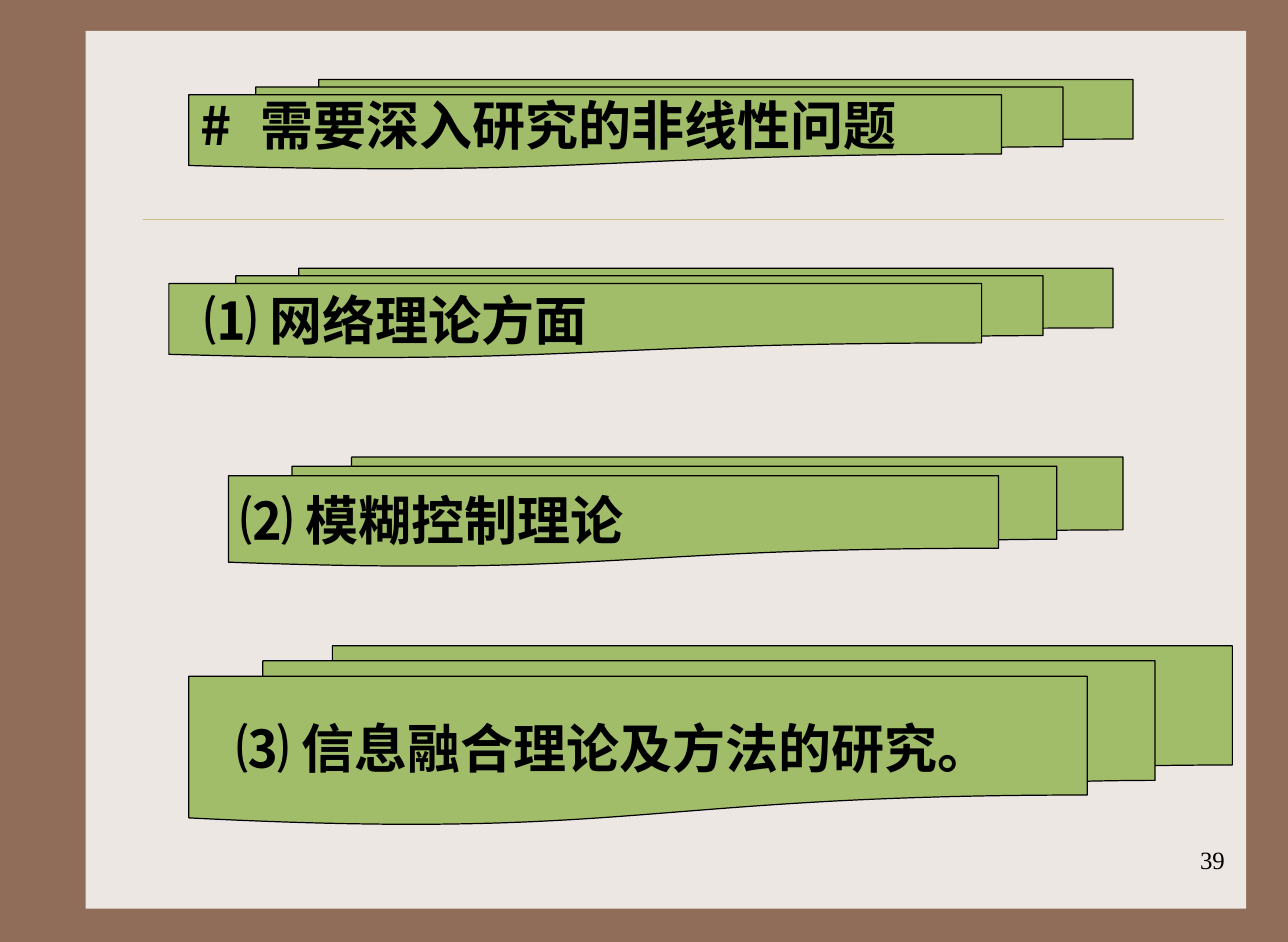
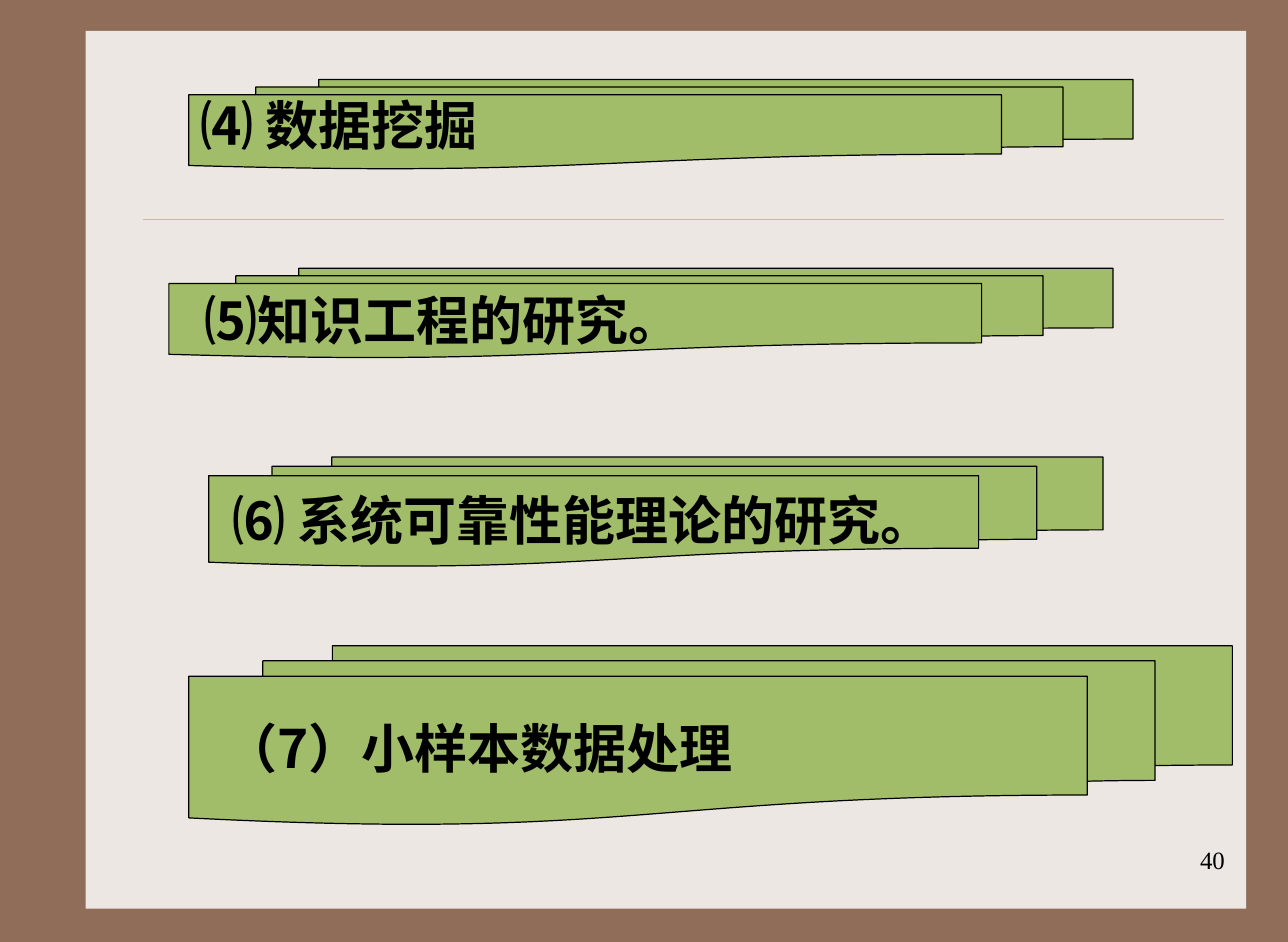
"""Build two slides of stacked-sheet banners listing nonlinear research problems."""
from dataclasses import dataclass

from lxml import etree
from pptx import Presentation
from pptx.dml.color import RGBColor
from pptx.enum.shapes import MSO_CONNECTOR, MSO_SHAPE
from pptx.enum.text import MSO_ANCHOR, MSO_AUTO_SIZE, PP_ALIGN
from pptx.oxml.ns import qn
from pptx.util import Pt

SHEETS, RECT = MSO_SHAPE.FLOWCHART_MULTIDOCUMENT, MSO_SHAPE.RECTANGLE
STRAIGHT = MSO_CONNECTOR.STRAIGHT
MIDDLE, NO_FIT = MSO_ANCHOR.MIDDLE, MSO_AUTO_SIZE.NONE
LEFT, RIGHT = PP_ALIGN.LEFT, PP_ALIGN.RIGHT


@dataclass(frozen=True)
class Theme:
    frame: RGBColor = RGBColor(0x90, 0x6D, 0x58)
    panel: RGBColor = RGBColor(0xED, 0xE7, 0xE3)
    rule: RGBColor = RGBColor(0xCB, 0xBD, 0x83)
    banner: RGBColor = RGBColor(0xA1, 0xBD, 0x69)
    ink: RGBColor = RGBColor(0, 0, 0)
    heading_font: str = "Noto Sans CJK SC"
    number_font: str = "Times New Roman"
    heading_size: float = 32
    number_size: float = 15


T = Theme()
TOP, PITCH, INDENT, TAB = 48, 114, 7.2, 41

SLIDES = [
    (39, [
        (114, 570, 54, 0, "#\t需要深入研究的非线性问题"),
        (102, 570, 54, 2, "⑴ 网络理论方面"),
        (138, 540, 66, 0, "⑵ 模糊控制理论"),
        (114, 630, 108, 3, "⑶ 信息融合理论及方法的研究。"),
    ]),
    (40, [
        (114, 570, 54, 0, "⑷ 数据挖掘"),
        (102, 570, 54, 2, "⑸知识工程的研究。"),
        (126, 540, 66, 1, "⑹ 系统可靠性能理论的研究。"),
        (114, 630, 108, 2, "（7）小样本数据处理"),
    ]),
]


def write_heading(sp, text, level):
    tf = sp.text_frame
    tf.word_wrap, tf.auto_size, tf.vertical_anchor = True, NO_FIT, MIDDLE
    tf.margin_left = tf.margin_right = Pt(7.2)
    tf.margin_top = tf.margin_bottom = 0
    p = tf.paragraphs[0]
    p.alignment = LEFT
    pPr = p._p.get_or_add_pPr()
    pPr.set("marL", str(Pt(INDENT * level)))
    pPr.set("indent", "0")
    if "\t" in text:
        tabs = etree.SubElement(pPr, qn("a:tabLst"))
        etree.SubElement(tabs, qn("a:tab"), pos=str(Pt(TAB)), algn="l")
    r = p.add_run()
    r.text = text
    r.font.name, r.font.size, r.font.bold = T.heading_font, Pt(T.heading_size), True
    r.font.color.rgb = T.ink
    etree.SubElement(r._r.get_or_add_rPr(), qn("a:ea"), typeface=T.heading_font)


def add_filled(s, kind, box, color):
    sp = s.shapes.add_shape(kind, *map(Pt, box))
    sp.shadow.inherit = False
    sp.fill.solid()
    sp.fill.fore_color.rgb = color
    return sp


prs = Presentation()
prs.slide_width, prs.slide_height = Pt(777.6), Pt(568.8)
master = prs.slide_master
master.background.fill.solid()
master.background.fill.fore_color.rgb = T.frame
slides = [prs.slides.add_slide(prs.slide_layouts[5]) for _ in SLIDES]

panel = add_filled(slides[0], RECT, (51.8, 18.7, 700.6, 530), T.panel)
panel.line.fill.background()
rule = slides[0].shapes.add_connector(STRAIGHT, Pt(86.4), Pt(132.5), Pt(738.7), Pt(132.5))
rule.line.color.rgb, rule.line.width = T.rule, Pt(0.25)
etree.SubElement(rule.element.spPr, qn("a:effectLst"))
for i, sp in enumerate((panel, rule)):
    sp.element.xpath(".//p:cNvPr")[0].set("id", str(100 + i))
    master.shapes.element.insert(2 + i, sp.element)

for s, (number, banners) in zip(slides, SLIDES):
    title = s.shapes.title
    for row, (left, width, height, level, text) in enumerate(banners):
        box = (left, TOP + PITCH * row, width, height)
        banner = add_filled(s, SHEETS, box, T.banner)
        banner.line.color.rgb, banner.line.width = T.ink, Pt(0.75)
        if row == 0:
            title.left, title.top, title.width, title.height = map(Pt, box)
            s.shapes.element.append(title.element)
            write_heading(title, text, level)
        else:
            write_heading(banner, text, level)

    tf = s.shapes.add_textbox(Pt(585.4), Pt(506.2), Pt(162), Pt(38)).text_frame
    tf.word_wrap = True
    tf.margin_left = tf.margin_right = Pt(7.9)
    p = tf.paragraphs[0]
    p.alignment = RIGHT
    r = p.add_run()
    r.text = str(number)
    r.font.name, r.font.size = T.number_font, Pt(T.number_size)
    r.font.color.rgb = T.ink

prs.save("out.pptx")
